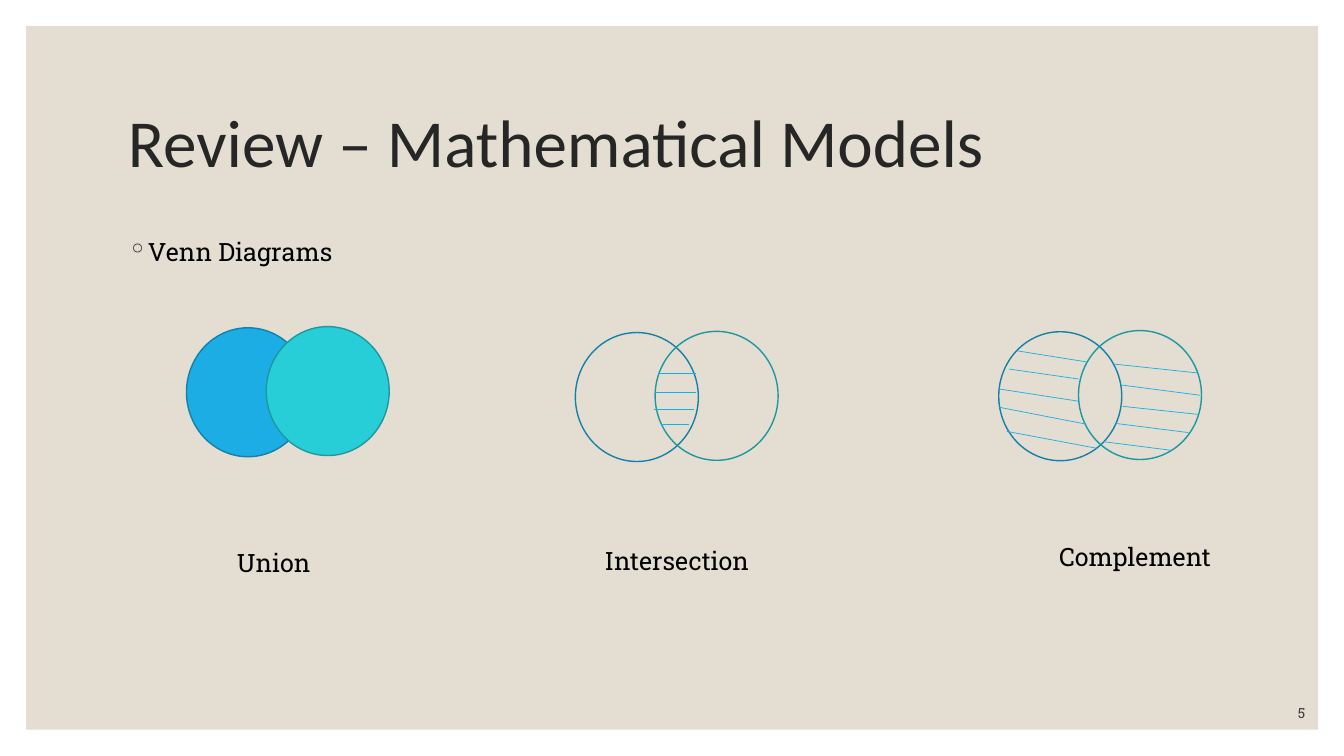
from dataclasses import dataclass

from lxml.etree import SubElement
from pptx import Presentation
from pptx.dml.color import RGBColor
from pptx.enum.shapes import MSO_CONNECTOR, MSO_SHAPE as Shape
from pptx.enum.text import MSO_ANCHOR as Anchor, PP_ALIGN as Align
from pptx.oxml.ns import qn
from pptx.util import Cm, Pt


@dataclass(frozen=True)
class Theme:
    paper: str = "FFFFFF"
    panel: str = "E3DED1"
    heading: str = "262626"
    text: str = "000000"
    muted: str = "404040"
    blue: str = "1CADE4"
    blue_edge: str = "1580A9"
    teal: str = "27CED7"
    teal_edge: str = "1D989F"
    heading_font: str = "Calibri"
    text_font: str = "Roboto Slab"
    heading_size: int = 48
    text_size: int = 18
    number_size: int = 10
    edge_width: float = 1
    hatch_width: float = 0.5


CIRCLE_WIDTH, CIRCLE_HEIGHT = 3.1, 3.25
RIGHT_SHIFT, RIGHT_RISE = 2.01, 0.03

# Left circle corner, whether the circles are filled, label and its box
VENNS = [
    ((4.7, 8.26), True, "Union", (5.72, 13.67, 2.95, 1.02)),
    ((14.5, 8.38), False, "Intersection", (14.99, 13.61, 4.5, 1.02)),
    ((25.17, 8.36), False, "Complement", (26.44, 13.51, 4.93, 1.02)),
]

# Hatch lines as x1, y1, x2, y2
INTERSECTION_HATCH = [
    (16.59, 9.42, 17.53, 9.42),
    (16.51, 9.88, 17.53, 9.88),
    (16.48, 10.31, 17.5, 10.31),
    (16.66, 10.69, 17.37, 10.69),
]
COMPLEMENT_LEFT_HATCH = [
    (27.38, 9.12, 25.63, 8.84),
    (27.18, 9.55, 25.43, 9.3),
    (27.18, 10.11, 25.17, 9.8),
    (27.38, 10.69, 25.17, 10.26),
    (27.66, 11.3, 25.37, 10.87),
]
COMPLEMENT_RIGHT_HATCH = [
    (30.2, 9.4, 28.04, 9.17),
    (30.25, 9.96, 28.24, 9.7),
    (30.18, 10.44, 28.3, 10.24),
    (29.95, 10.9, 28.12, 10.67),
    (29.54, 11.35, 27.81, 11.13),
]


class SlideBuilder:
    def __init__(self, slide, theme):
        self.slide = slide
        self.theme = theme
        background = slide.background.fill
        background.solid()
        background.fore_color.rgb = RGBColor.from_string(theme.paper)

    def set_font(self, paragraph, name, size, color):
        font = paragraph.font
        font.name, font.size = name, Pt(size)
        font.color.rgb = RGBColor.from_string(color)

    def title(self, text, box):
        heading = self.slide.shapes.title
        heading.left, heading.top, heading.width, heading.height = map(Cm, box)
        frame = heading.text_frame
        frame.text = text
        frame.word_wrap = True
        frame.vertical_anchor = Anchor.MIDDLE
        paragraph = frame.paragraphs[0]
        paragraph.alignment = Align.LEFT
        paragraph.line_spacing = 0.9
        theme = self.theme
        self.set_font(paragraph, theme.heading_font, theme.heading_size, theme.heading)

    def text(self, text, box, size=None, color=None, align=Align.LEFT,
             anchor=Anchor.TOP, bullet=None):
        frame = self.slide.shapes.add_textbox(*map(Cm, box)).text_frame
        frame.text = text
        frame.word_wrap = True
        frame.vertical_anchor = anchor
        paragraph = frame.paragraphs[0]
        paragraph.alignment = align
        if bullet:
            self.add_bullet(paragraph, bullet)
        theme = self.theme
        self.set_font(paragraph, theme.text_font, size or theme.text_size,
                      color or theme.text)

    def add_bullet(self, paragraph, mark):
        properties = paragraph._p.get_or_add_pPr()
        properties.set("marL", str(Cm(0.51)))
        properties.set("indent", str(-Cm(0.51)))
        color = SubElement(properties, qn("a:buClr"))
        SubElement(color, qn("a:srgbClr"), val=self.theme.heading)
        SubElement(properties, qn("a:buChar"), char=mark)

    def shape(self, kind, box, fill=None, edge=None):
        shape = self.slide.shapes.add_shape(kind, *map(Cm, box))
        shape.shadow.inherit = False
        if fill:
            shape.fill.solid()
            shape.fill.fore_color.rgb = RGBColor.from_string(fill)
        else:
            shape.fill.background()
        if edge:
            shape.line.color.rgb = RGBColor.from_string(edge)
            shape.line.width = Pt(self.theme.edge_width)
        else:
            shape.line.fill.background()
        return shape

    def panel(self, box):
        """Place the backdrop behind the title."""
        backdrop = self.shape(Shape.RECTANGLE, box, self.theme.panel)
        self.slide.shapes.title.element.addprevious(backdrop.element)

    def venn(self, left, top, filled):
        theme = self.theme
        size = (CIRCLE_WIDTH, CIRCLE_HEIGHT)
        self.shape(Shape.OVAL, (left, top, *size),
                   theme.blue if filled else None, theme.blue_edge)
        self.shape(Shape.OVAL, (left + RIGHT_SHIFT, top - RIGHT_RISE, *size),
                   theme.teal if filled else None, theme.teal_edge)

    def hatch(self, segments):
        for ends in segments:
            stroke = self.slide.shapes.add_connector(
                MSO_CONNECTOR.STRAIGHT, *map(Cm, ends))
            stroke.line.color.rgb = RGBColor.from_string(self.theme.blue)
            stroke.line.width = Pt(self.theme.hatch_width)
            SubElement(stroke.element.spPr, qn("a:effectLst"))


def main():
    deck = Presentation()
    deck.slide_width, deck.slide_height = Cm(33.87), Cm(19.05)
    theme = Theme()
    builder = SlideBuilder(deck.slides.add_slide(deck.slide_layouts[5]), theme)

    builder.panel((0.66, 0.66, 32.56, 17.73))
    builder.title("Review – Mathematical Models", (2.97, 1.78, 27.94, 3.81))
    builder.text("Venn Diagrams", (2.97, 5.84, 27.94, 10.92), bullet="◦")

    for corner, filled, label, label_box in VENNS:
        builder.venn(*corner, filled)
        builder.text(label, label_box)
    for segments in (INTERSECTION_HATCH, COMPLEMENT_LEFT_HATCH, COMPLEMENT_RIGHT_HATCH):
        builder.hatch(segments)

    builder.text("5", (29.08, 17.53, 4.06, 0.76), theme.number_size, theme.muted,
                 Align.RIGHT, Anchor.BOTTOM)
    deck.save("out.pptx")


if __name__ == "__main__":
    main()
